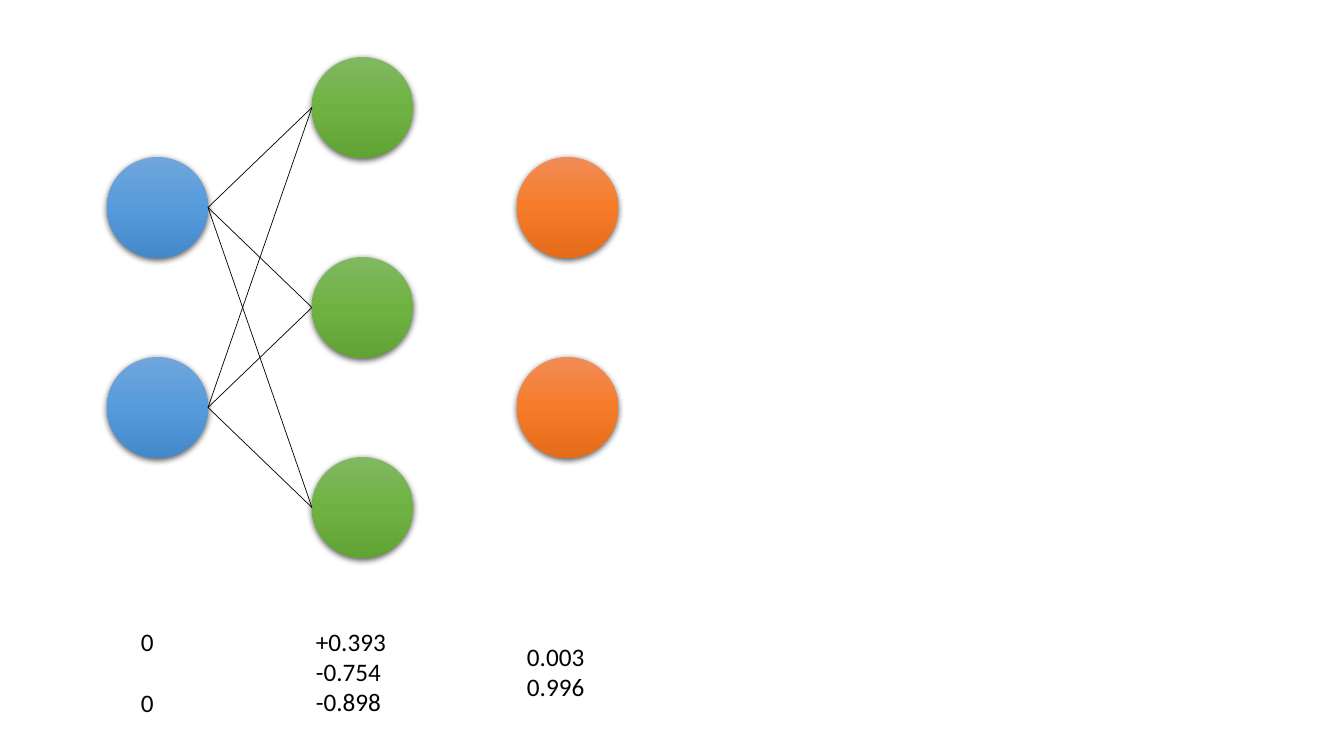
import pptx
import pptx.util
import pptx.dml.color
import pptx.enum.shapes
import pptx.enum.text
import pptx.oxml
import pptx.oxml.ns
import lxml.etree

COLORS = {
    "input": ("71A6DB", "559BDB", "448ACA"),
    "hidden": ("81B861", "6FB242", "62A336"),
    "output": ("F18C57", "F67B28", "E56C19"),
    "ink": "000000",
}
LAYERS = [
    {"name": "input", "neurons": 2, "values": ["0", "0"], "text_box": (131, 621, 36, 102), "gap": 22},
    {"name": "hidden", "neurons": 3, "values": ["+0.393", "-0.754", "-0.898"], "text_box": (306, 621, 107, 102), "gap": 0},
    {"name": "output", "neurons": 2, "values": ["0.003", "0.996"], "text_box": (517, 636, 89, 72), "gap": 0},
]
DIAMETER = 101
FIRST_LEFT, COLUMN_STEP = 107, 205
MIDDLE_TOP, ROW_STEP = 257, 200
EMU_PER_PIXEL = 12192000 / 1344
NAMESPACE = pptx.oxml.ns.nsdecls("a")


def emu(*pixels):
    return [round(pixel * EMU_PER_PIXEL) for pixel in pixels]


def neuron_places(column, count):
    left = FIRST_LEFT + column * COLUMN_STEP
    return [(left, MIDDLE_TOP + (row - (count - 1) / 2) * ROW_STEP) for row in range(count)]


def add_neuron(slide, left, top, stops):
    circle = slide.shapes.add_shape(
        pptx.enum.shapes.MSO_SHAPE.OVAL, *emu(left, top, DIAMETER, DIAMETER))
    circle.line.fill.background()
    stop_xml = "".join(
        f'<a:gs pos="{index * 50000}"><a:srgbClr val="{color}"/></a:gs>'
        for index, color in enumerate(stops))
    gradient = pptx.oxml.parse_xml(
        f'<a:gradFill {NAMESPACE} rotWithShape="1"><a:gsLst>{stop_xml}</a:gsLst>'
        '<a:lin ang="5400000" scaled="0"/></a:gradFill>')
    shadow = pptx.oxml.parse_xml(
        f'<a:effectLst {NAMESPACE}><a:outerShdw blurRad="57150" dist="19050" dir="5400000"'
        f' algn="ctr" rotWithShape="0"><a:srgbClr val="{COLORS["ink"]}">'
        '<a:alpha val="63000"/></a:srgbClr></a:outerShdw></a:effectLst>')
    properties = circle.element.spPr
    properties.find(pptx.oxml.ns.qn("a:prstGeom")).addnext(gradient)
    properties.append(shadow)


def add_link(slide, source, target):
    radius = DIAMETER / 2
    link = slide.shapes.add_connector(
        pptx.enum.shapes.MSO_CONNECTOR.STRAIGHT,
        *emu(source[0] + DIAMETER, source[1] + radius, target[0], target[1] + radius))
    link.line.width = pptx.util.Pt(0.5)
    link.line.color.rgb = pptx.dml.color.RGBColor.from_string(COLORS["ink"])
    lxml.etree.SubElement(link.element.spPr, pptx.oxml.ns.qn("a:effectLst"))


def add_text(slide, lines, place, size=18, font="Calibri", color="ink", gap=0):
    box = slide.shapes.add_textbox(*emu(*place))
    frame = box.text_frame
    frame.word_wrap = True
    frame.auto_size = pptx.enum.text.MSO_AUTO_SIZE.SHAPE_TO_FIT_TEXT
    for index, line in enumerate(lines):
        para = frame.add_paragraph() if index else frame.paragraphs[0]
        if index:
            para.space_before = pptx.util.Pt(gap)
        span = para.add_run()
        span.text = line
        span.font.size = pptx.util.Pt(size)
        span.font.name = font
        span.font.color.rgb = pptx.dml.color.RGBColor.from_string(COLORS[color])


deck = pptx.Presentation()
deck.slide_width, deck.slide_height = emu(1344, 756)
page = deck.slides.add_slide(deck.slide_layouts[6])

places = [neuron_places(column, layer["neurons"]) for column, layer in enumerate(LAYERS)]
for layer, neurons in zip(LAYERS, places):
    for left, top in neurons:
        add_neuron(page, left, top, COLORS[layer["name"]])
for source in places[0]:
    for target in places[1]:
        add_link(page, source, target)
for layer in LAYERS:
    add_text(page, layer["values"], layer["text_box"], gap=layer["gap"])

deck.save("out.pptx")
